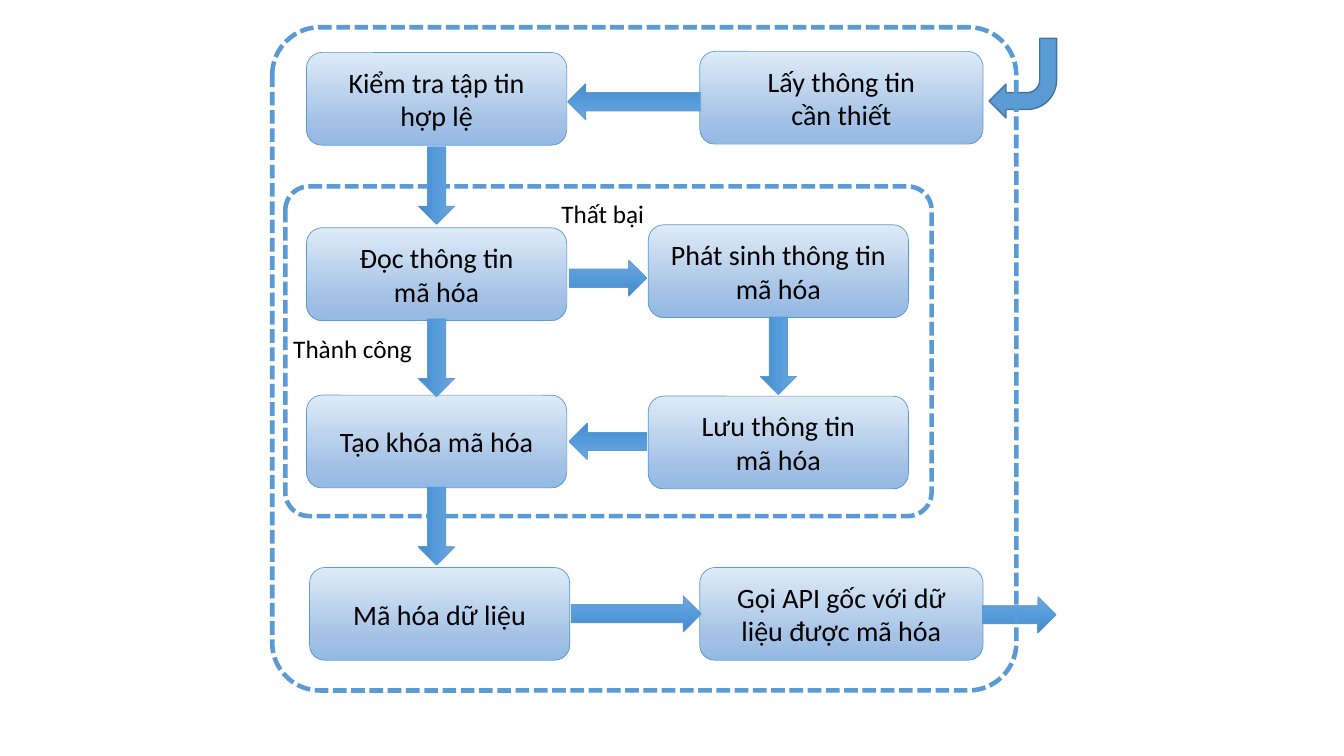
from copy import deepcopy

from pptx import Presentation
from pptx.dml.color import RGBColor
from pptx.enum import dml, shapes, text
from pptx.util import Inches, Pt

COLORS = {
    "accent": "5B9BD5",
    "bend_edge": "43739E",
    "paper": "FFFFFF",
    "ink": "000000",
}
STEP_STOPS = [(0, "DEEBF7"), (0.76, "A3C1E5"), (1, "93B9E4")]
ARROW_STOPS = [(0, "71A6DB"), (0.5, "559BDB"), (1, "448ACA")]
RIGHT, DOWN, LEFT = 0, 90, 180
STEP_WIDTH, WIDE_STEP, STEP_HEIGHT = 2.58, 2.81, 0.92
SHORT_ARROW, ARROW_THICKNESS = 0.77, 0.36


def rgb(name):
    return RGBColor.from_string(COLORS[name])


def write(frame, content, size=20, color="ink", font="Calibri",
          align=text.PP_ALIGN.CENTER, anchor=text.MSO_ANCHOR.MIDDLE, wrap=True):
    frame.word_wrap = wrap
    frame.vertical_anchor = anchor
    frame.text = content
    for paragraph in frame.paragraphs:
        paragraph.alignment = align
        paragraph.font.size = Pt(size)
        paragraph.font.name = font
        paragraph.font.color.rgb = rgb(color)


def shade(shape, stops):
    shape.fill.gradient()
    shape.fill.gradient_angle = 270
    stop_list = shape.fill.gradient_stops[0]._gs.getparent()
    stop_list.append(deepcopy(stop_list[-1]))
    for stop, (position, color) in zip(shape.fill.gradient_stops, stops):
        stop.position = position
        stop.color.rgb = RGBColor.from_string(color)


def add_preset(slide, preset, left, top, width, height, edge="accent", weight=0.5):
    shape = slide.shapes.add_shape(
        preset, Inches(left), Inches(top), Inches(width), Inches(height))
    shape.shadow.inherit = False
    shape.line.color.rgb = rgb(edge)
    shape.line.width = Pt(weight)
    return shape


def add_step(slide, left, top, content, width=STEP_WIDTH):
    step = add_preset(slide, shapes.MSO_SHAPE.ROUNDED_RECTANGLE,
                      left, top, width, STEP_HEIGHT)
    shade(step, STEP_STOPS)
    write(step.text_frame, content)


def add_arrow(slide, center_x, center_y, direction, length=SHORT_ARROW):
    arrow = add_preset(slide, shapes.MSO_SHAPE.RIGHT_ARROW,
                       center_x - length / 2, center_y - ARROW_THICKNESS / 2,
                       length, ARROW_THICKNESS)
    arrow.rotation = direction
    shade(arrow, ARROW_STOPS)


def add_label(slide, left, top, width, content):
    label = slide.shapes.add_textbox(
        Inches(left), Inches(top), Inches(width), Inches(0.4))
    write(label.text_frame, content, size=18, align=text.PP_ALIGN.LEFT,
          anchor=text.MSO_ANCHOR.TOP, wrap=False)


def add_frame(slide, left, top, width, height):
    frame = add_preset(slide, shapes.MSO_SHAPE.ROUNDED_RECTANGLE,
                       left, top, width, height, weight=3.25)
    frame.adjustments[0] = 0.072
    frame.line.dash_style = dml.MSO_LINE.SQUARE_DOT
    return frame


def build_key_region(slide, left, top, width, height):
    frame = add_frame(slide, left, top, width, height)
    frame.fill.solid()
    frame.fill.fore_color.rgb = rgb("paper")
    for x, y, content in [
        (0.21, 0.41, "Đọc thông tin\nmã hóa"),
        (3.6, 0.38, "Phát sinh thông tin mã hóa"),
        (0.21, 2.07, "Tạo khóa mã hóa"),
        (3.6, 2.08, "Lưu thông tin\nmã hóa"),
    ]:
        add_step(slide, left + x, top + y, content)
    for x, y, direction in [
        (1.5, 1.7, DOWN), (3.2, 0.91, RIGHT), (4.89, 1.68, DOWN), (3.2, 2.53, LEFT),
    ]:
        add_arrow(slide, left + x, top + y, direction)
    add_label(slide, left - 0.02, top + 1.41, 1.39, "Thành công")
    add_label(slide, left + 2.64, top + 0.07, 1.03, "Thất bại")


def build_api_region(slide, left, top, width, height):
    for x, y, step_width, content in [
        (0.34, 0.25, STEP_WIDTH, "Kiểm tra tập tin\nhợp lệ"),
        (4.24, 0.24, WIDE_STEP, "Lấy thông tin\ncần thiết"),
        (0.37, 5.36, STEP_WIDTH, "Mã hóa dữ liệu"),
        (4.24, 5.36, WIDE_STEP, "Gọi API gốc với dữ liệu được mã hóa"),
    ]:
        add_step(slide, left + x, top + y, content, width=step_width)
    for x, y, direction, length in [
        (3.59, 0.74, LEFT, 1.32),
        (1.63, 1.57, DOWN, SHORT_ARROW),
        (1.63, 4.95, DOWN, SHORT_ARROW),
        (3.61, 5.82, RIGHT, 1.29),
        (7.41, 5.83, RIGHT, 0.73),
    ]:
        add_arrow(slide, left + x, top + y, direction, length)
    entry = add_preset(slide, shapes.MSO_SHAPE.BENT_ARROW,
                       left + 7.11, top + 0.11, 0.67, 0.79,
                       edge="bend_edge", weight=1)
    entry.rotation = LEFT
    entry.fill.solid()
    entry.fill.fore_color.rgb = rgb("accent")
    add_frame(slide, left, top, width, height).fill.background()


def main():
    deck = Presentation()
    deck.slide_width = Inches(13.33)
    deck.slide_height = Inches(7.5)
    slide = deck.slides.add_slide(deck.slide_layouts[6])
    build_key_region(slide, 2.83, 1.85, 6.41, 3.27)
    build_api_region(slide, 2.7, 0.27, 7.38, 6.58)
    deck.save("out.pptx")


if __name__ == "__main__":
    main()
